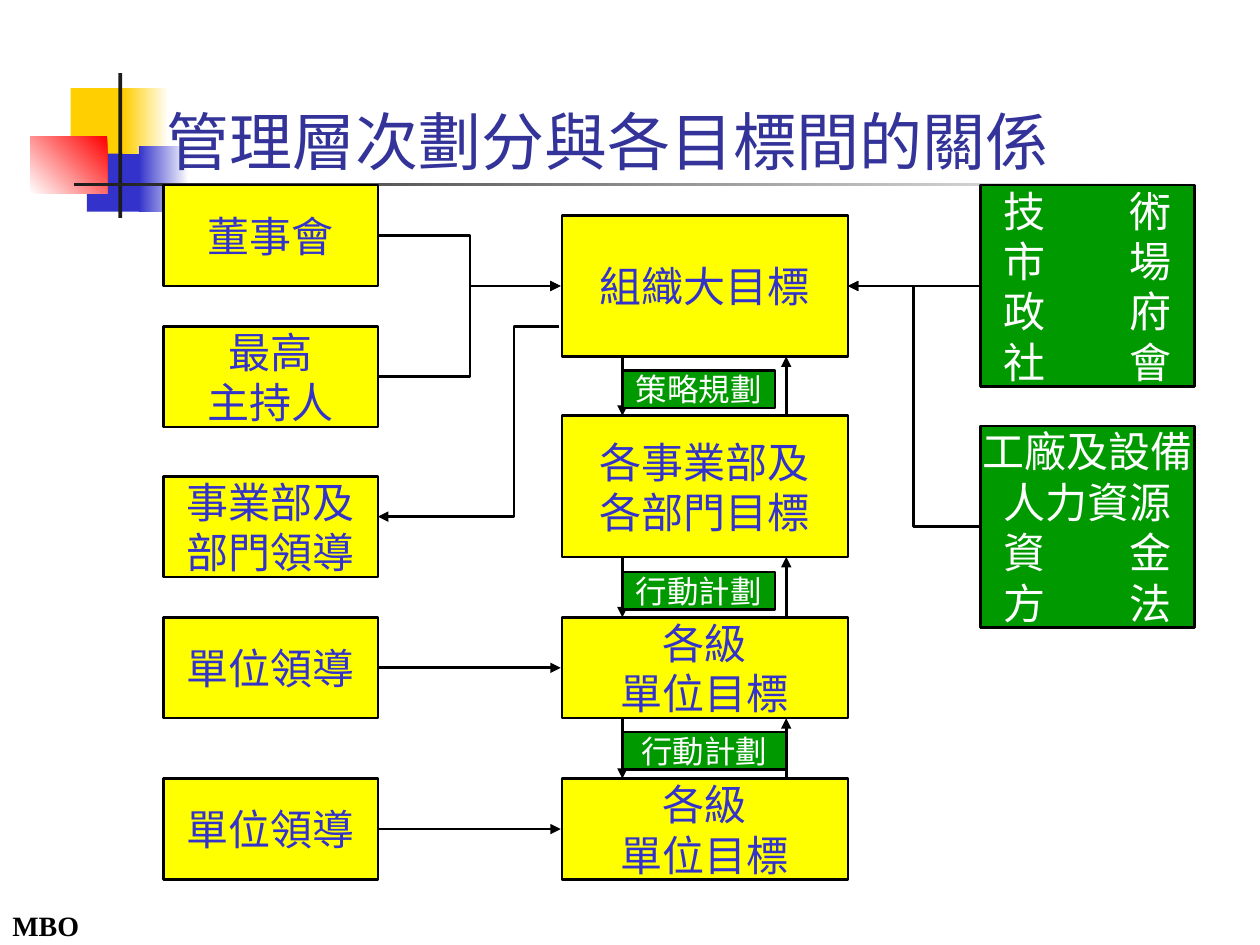
from dataclasses import dataclass

from lxml.etree import SubElement
from pptx import Presentation
from pptx.dml.color import RGBColor
from pptx.enum.shapes import MSO_CONNECTOR, MSO_SHAPE
from pptx.enum.text import MSO_ANCHOR, PP_ALIGN
from pptx.oxml.ns import qn
from pptx.util import Emu, Pt

PX = 9144  # EMU in one px, 100 px to the inch
CJK, LATIN = "Noto Sans CJK SC", "Times New Roman"
BLACK, WHITE, YELLOW, GREEN, BLUE = "000000", "FFFFFF", "FFFF00", "009900", "3333CC"


@dataclass(frozen=True)
class Block:
    x: int
    y: int
    w: int
    h: int
    fill: str
    fade_from: str = ""  # first gradient colour; empty for a solid fill
    angle: int = 0


@dataclass(frozen=True)
class Box:
    x: int
    y: int
    w: int
    h: int
    lines: tuple[str, ...]
    fill: str = YELLOW
    color: str = BLUE
    size: int = 24


@dataclass(frozen=True)
class Arrow:
    x1: int
    y1: int
    x2: int
    y2: int
    bend: float = 0.5


def px(value: int) -> Emu:
    return Emu(value * PX)


def rgb(color: str) -> RGBColor:
    return RGBColor.from_string(color)


def add_run(paragraph, text: str, size: int, color: str, font: str, bold=False):
    run = paragraph.add_run()
    run.text = text
    run.font.size = Pt(size)
    run.font.bold = bold
    run.font.name = font
    run.font.color.rgb = rgb(color)
    SubElement(run.font._element, qn("a:ea")).set("typeface", font)
    return run


def draw_block(shapes, block: Block) -> None:
    shape = shapes.add_shape(MSO_SHAPE.RECTANGLE, px(block.x), px(block.y),
                             px(block.w), px(block.h))
    shape.shadow.inherit = False
    shape.line.fill.background()
    if not block.fade_from:
        shape.fill.solid()
        shape.fill.fore_color.rgb = rgb(block.fill)
        return
    shape.fill.gradient()
    shape.fill.gradient_angle = block.angle
    for stop, color, position in zip(shape.fill.gradient_stops,
                                     (block.fade_from, block.fill), (0, 1)):
        stop.color.rgb = rgb(color)
        stop.position = position


def draw_box(shapes, box: Box) -> None:
    shape = shapes.add_shape(MSO_SHAPE.RECTANGLE, px(box.x), px(box.y),
                             px(box.w), px(box.h))
    shape.shadow.inherit = False
    shape.fill.solid()
    shape.fill.fore_color.rgb = rgb(box.fill)
    shape.line.color.rgb = rgb(BLACK)
    shape.line.width = Pt(1.5)
    frame = shape.text_frame
    frame.word_wrap = False
    frame.vertical_anchor = MSO_ANCHOR.MIDDLE
    frame.margin_left = frame.margin_right = px(4)
    frame.margin_top = frame.margin_bottom = 0
    for index, line in enumerate(box.lines):
        paragraph = frame.add_paragraph() if index else frame.paragraphs[0]
        paragraph.alignment = PP_ALIGN.CENTER
        paragraph.line_spacing = Pt(box.size * 1.2)
        run = add_run(paragraph, line, box.size, box.color, CJK)
        if len(line) == 2 and box.fill == GREEN:
            # Spread the pair to the width of four characters
            run.font._element.set("spc", str(box.size * 200))


def draw_arrow(shapes, arrow: Arrow) -> None:
    straight = arrow.x1 == arrow.x2 or arrow.y1 == arrow.y2
    kind = MSO_CONNECTOR.STRAIGHT if straight else MSO_CONNECTOR.ELBOW
    connector = shapes.add_connector(kind, px(arrow.x1), px(arrow.y1),
                                     px(arrow.x2), px(arrow.y2))
    connector.line.color.rgb = rgb(BLACK)
    connector.line.width = Pt(1.5)
    properties = connector._element.spPr
    SubElement(properties.find(qn("a:ln")), qn("a:tailEnd")).set("type", "triangle")
    SubElement(properties, qn("a:effectLst"))
    if not straight:
        geometry = properties.find(qn("a:prstGeom"))
        guides = geometry.find(qn("a:avLst"))
        if guides is None:
            guides = SubElement(geometry, qn("a:avLst"))
        guide = SubElement(guides, qn("a:gd"))
        guide.set("name", "adj1")
        guide.set("fmla", f"val {round(arrow.bend * 100000)}")


def draw_text(shapes, x: int, y: int, w: int, h: int, anchor: MSO_ANCHOR,
              text: str, size: int, color: str, font: str, bold=False) -> None:
    frame = shapes.add_textbox(px(x), px(y), px(w), px(h)).text_frame
    frame.word_wrap = True
    frame.vertical_anchor = anchor
    frame.margin_left = frame.margin_right = px(10)
    frame.margin_top = frame.margin_bottom = px(5)
    add_run(frame.paragraphs[0], text, size, color, font, bold)
    frame.paragraphs[0].line_spacing = Pt(size * 1.2)


# Corner ornament and title rule
ORNAMENT = (
    Block(69, 116, 46, 52, BLUE),
    Block(56, 70, 48, 52, "FFCF01"),
    Block(98, 70, 36, 52, "FFCF01", WHITE, 180),
    Block(110, 116, 40, 52, BLUE, WHITE, 180),
    Block(24, 108, 61, 46, WHITE, "FF0000", 225),
    Block(94, 58, 3, 115, "1C1C1C"),
    Block(59, 145, 900, 3, "1C1C1C", WHITE, 180),
)

# Who sets the goals, the goals themselves, and outside factors
LEADERS = tuple(Box(130, y, 170, 80, lines) for y, lines in (
    (147, ("董事會",)),
    (259, ("最高", "主持人")),
    (378, ("事業部及", "部門領導")),
    (490, ("單位領導",)),
    (618, ("單位領導",)),
))
GOALS = tuple(Box(446, y, 227, h, lines) for y, h, lines in (
    (171, 112, ("組織大目標",)),
    (330, 112, ("各事業部及", "各部門目標")),
    (490, 80, ("各級", "單位目標")),
    (618, 80, ("各級", "單位目標")),
))
FACTORS = tuple(Box(778, y, 170, 160, lines, GREEN, WHITE) for y, lines in (
    (147, ("技術", "市場", "政府", "社會")),
    (338, ("工廠及設備", "人力資源", "資金", "方法")),
))
PLANS = tuple(Box(494, y, w, 30, (text,), GREEN, WHITE, 18) for y, w, text in (
    (294, 121, "策略規劃"),
    (454, 121, "行動計劃"),
    (581, 130, "行動計劃"),
))

# A downward and an upward arrow between each goal and the next
GOAL_ARROWS = tuple(
    arrow
    for upper, lower in zip(GOALS, GOALS[1:])
    for arrow in (Arrow(494, upper.y + upper.h, 494, lower.y),
                  Arrow(624, lower.y, 624, upper.y + upper.h))
)
SIDE_ARROWS = (
    Arrow(777, 227, 673, 227),
    Arrow(777, 418, 673, 227),
    Arrow(301, 530, 445, 530),
    Arrow(301, 658, 445, 658),
    Arrow(301, 187, 445, 227),
    Arrow(301, 299, 445, 227),
    Arrow(444, 259, 300, 410, bend=0.25),
)


def main() -> None:
    presentation = Presentation()
    presentation.slide_width, presentation.slide_height = px(1000), px(750)
    shapes = presentation.slides.add_slide(presentation.slide_layouts[6]).shapes

    for block in ORNAMENT:
        draw_block(shapes, block)
    draw_text(shapes, 0, 716, 138, 37, MSO_ANCHOR.TOP, "MBO", 16, BLACK, LATIN, True)
    draw_text(shapes, 122, 63, 835, 83, MSO_ANCHOR.BOTTOM,
              "管理層次劃分與各目標間的關係", 36, "333399", CJK)

    for box in LEADERS + GOALS + FACTORS:
        draw_box(shapes, box)
    for arrow in GOAL_ARROWS:
        draw_arrow(shapes, arrow)
    for plan in PLANS:
        draw_box(shapes, plan)
    for arrow in SIDE_ARROWS:
        draw_arrow(shapes, arrow)

    presentation.save("out.pptx")


if __name__ == "__main__":
    main()
